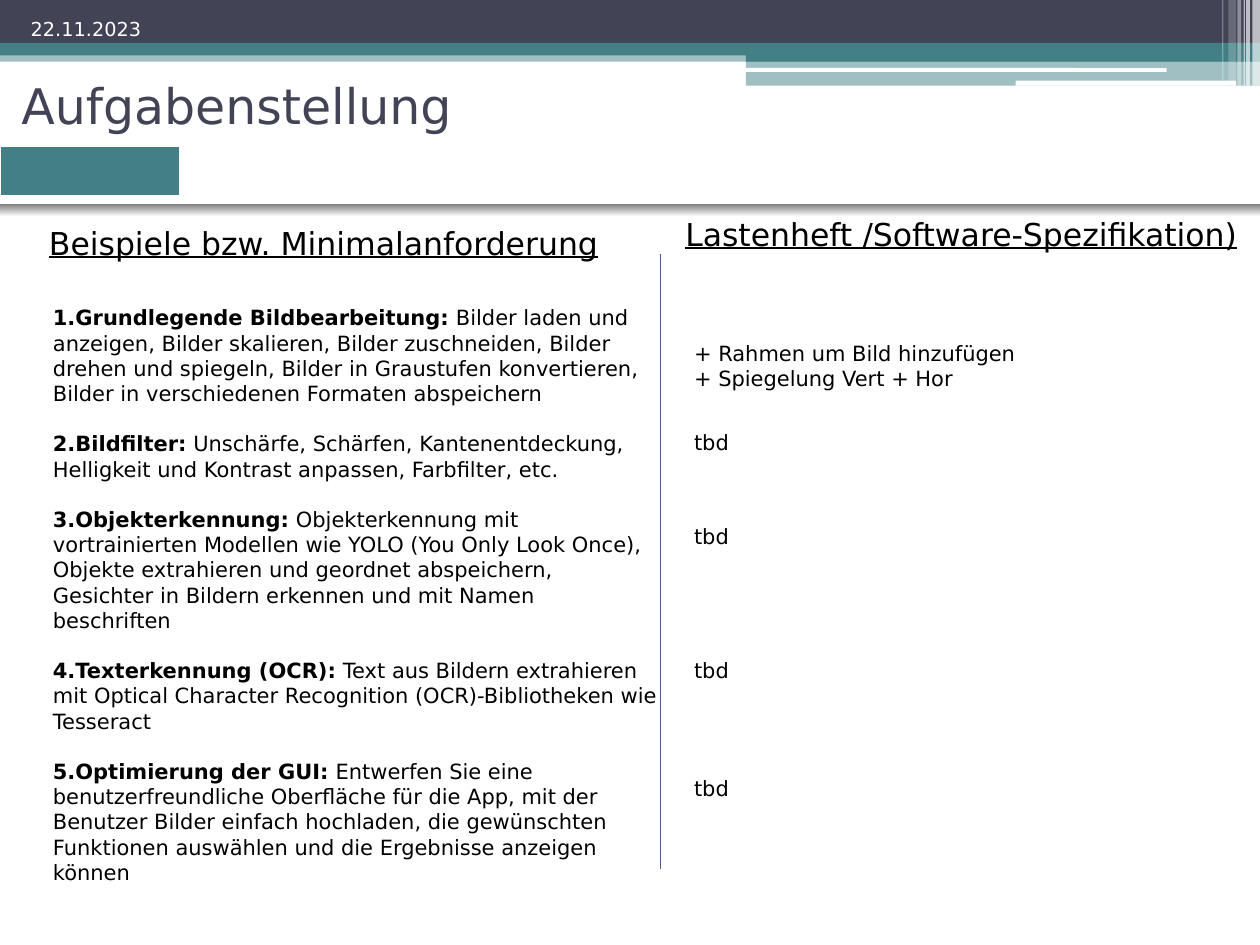
from dataclasses import dataclass

from lxml.etree import SubElement
from pptx import Presentation
from pptx.dml.color import RGBColor
from pptx.enum.shapes import MSO_CONNECTOR, MSO_SHAPE
from pptx.enum.text import MSO_ANCHOR, MSO_AUTO_SIZE, PP_ALIGN
from pptx.oxml.ns import qn
from pptx.util import Inches, Pt


@dataclass(frozen=True)
class Theme:
    """Colours and type sizes of the slide."""
    font: str = "DejaVu Sans"
    navy: str = "424456"
    teal: str = "438086"
    line: str = "53548A"
    white: str = "FFFFFF"
    black: str = "000000"
    shade: str = "808080"
    title: int = 28
    head: int = 18
    text: int = 12
    date: int = 11


THEME = Theme()

BANDS = [
    (0, 0.4, 10, 0.09, THEME.teal, 50),
    (0, 0, 10, 0.34, THEME.navy, 100),
    (0, 0.34, 10, 0.1, THEME.teal, 100),
    (5.92, 0.39, 4.08, 0.1, THEME.teal, 100),
    (5.92, 0.48, 4.08, 0.2, THEME.teal, 50),
]
PILLS = [(5.91, 0.54, 3.35, 0.03), (8.06, 0.64, 1.75, 0.04)]
STRIPES = [
    (9.94, 0.06, 0.68, 65),
    (9.89, 0.03, 0.68, 65),
    (9.87, 0.01, 0.68, 60),
    (9.82, 0.03, 0.68, 40),
    (9.75, 0.06, 0.64, 20),
    (9.7, 0.01, 0.64, 30),
]
TASKS = [
    ("Grundlegende Bildbearbeitung:",
     " Bilder laden und anzeigen, Bilder skalieren, Bilder zuschneiden, "
     "Bilder drehen und spiegeln, Bilder in Graustufen konvertieren, "
     "Bilder in verschiedenen Formaten abspeichern"),
    ("Bildfilter:",
     " Unschärfe, Schärfen, Kantenentdeckung, Helligkeit und Kontrast "
     "anpassen, Farbfilter, etc."),
    ("Objekterkennung:",
     " Objekterkennung mit vortrainierten Modellen wie YOLO (You Only Look "
     "Once), Objekte extrahieren und geordnet abspeichern, Gesichter in "
     "Bildern erkennen und mit Namen beschriften"),
    ("Texterkennung (OCR):",
     " Text aus Bildern extrahieren mit Optical Character Recognition "
     "(OCR)-Bibliotheken wie Tesseract"),
    ("Optimierung der GUI:",
     " Entwerfen Sie eine benutzerfreundliche Oberfläche für die App, mit "
     "der Benutzer Bilder einfach hochladen, die gewünschten Funktionen "
     "auswählen und die Ergebnisse anzeigen können"),
]
NOTES = [
    (2.65, 0.5, ["+ Rahmen um Bild hinzufügen", "+ Spiegelung Vert + Hor"]),
    (3.36, 0.3, ["tbd"]),
    (4.11, 0.3, ["tbd"]),
    (5.17, 0.3, ["tbd"]),
    (6.11, 0.3, ["tbd"]),
]


def write(shape, paras, size=THEME.text, color=THEME.black, align=PP_ALIGN.LEFT,
          anchor=MSO_ANCHOR.TOP, under=None, count=False, gap=0):
    """Fill a shape with paragraphs; a pair is a bold lead and its plain rest."""
    frame = shape.text_frame
    frame.word_wrap = True
    frame.auto_size = MSO_AUTO_SIZE.NONE
    frame.vertical_anchor = anchor
    for i, para in enumerate(paras):
        p = frame.paragraphs[0] if i == 0 else frame.add_paragraph()
        p.alignment = align
        p.space_before = Pt(gap if i else 0)
        if count:
            props = p._p.get_or_add_pPr()
            props.set("marL", "0")
            props.set("indent", "0")
            SubElement(props, qn("a:buAutoNum"), type="arabicPeriod")
        pair = isinstance(para, tuple)
        for j, text in enumerate(para if pair else (para,)):
            run = p.add_run()
            run.text = text
            font = run.font
            font.name, font.size = THEME.font, Pt(size)
            font.bold = pair and j == 0
            font.underline = under
            font.color.rgb = RGBColor.from_string(color)


def place(shape, *box):
    """Move a shape to a box given in inches."""
    shape.left, shape.top, shape.width, shape.height = map(Inches, box)
    return shape


def add_text(slide, box, paras, **style):
    """Add a text box."""
    write(slide.shapes.add_textbox(*map(Inches, box)), paras, **style)


def add_block(slide, box, color, alpha=100, kind=MSO_SHAPE.RECTANGLE):
    """Add a plain block with an opacity in percent."""
    block = slide.shapes.add_shape(kind, *map(Inches, box))
    block.shadow.inherit = False
    block.line.fill.background()
    block.fill.solid()
    block.fill.fore_color.rgb = RGBColor.from_string(color)
    if alpha < 100:
        tone = block.fill._xPr.find(".//" + qn("a:srgbClr"))
        SubElement(tone, qn("a:alpha"), val=str(alpha * 1000))
    return block


def add_shade(slide, box):
    """Add a soft shade that fades downward."""
    fill = add_block(slide, box, THEME.shade).fill
    fill.gradient()
    fill.gradient_angle = 270
    for stop, color in zip(fill.gradient_stops, (THEME.shade, THEME.white)):
        stop.color.rgb = RGBColor.from_string(color)


def add_edge(cell, side, width):
    """Draw one white cell border."""
    edge = SubElement(cell._tc.get_or_add_tcPr(), qn("a:" + side),
                      w=str(Pt(width)))
    SubElement(SubElement(edge, qn("a:solidFill")), qn("a:srgbClr"),
               val=THEME.white)


def add_steps(slide, box, count):
    """Add the progress table with its first cell marked."""
    table = slide.shapes.add_table(1, count, *map(Inches, box)).table
    table.first_row = table.horz_banding = False
    for i, cell in enumerate(table.iter_cells()):
        for side, width in (("lnL", 1), ("lnR", 1), ("lnT", 1), ("lnB", 3)):
            add_edge(cell, side, width)
        cell.fill.solid()
        cell.fill.fore_color.rgb = RGBColor.from_string(
            THEME.white if i else THEME.teal)


def add_line(slide, *ends):
    """Add a thin straight line."""
    line = slide.shapes.add_connector(MSO_CONNECTOR.STRAIGHT,
                                      *map(Inches, ends))
    line.line.color.rgb = RGBColor.from_string(THEME.line)
    line.line.width = Pt(0.75)
    SubElement(line._element.spPr, qn("a:effectLst"))


def main():
    """Build and save the slide."""
    deck = Presentation()
    deck.slide_width, deck.slide_height = Inches(10), Inches(7.5)
    slide = deck.slides.add_slide(deck.slide_layouts[1])
    for *box, color, alpha in BANDS:
        add_block(slide, box, color, alpha)
    for box in PILLS:
        add_block(slide, box, THEME.white, kind=MSO_SHAPE.ROUNDED_RECTANGLE)
    for left, width, height, alpha in STRIPES:
        add_block(slide, (left, 0, width, height), THEME.white, alpha)
    write(place(slide.shapes.title, 0.07, 0.52, 9, 0.63), ["Aufgabenstellung"],
          size=THEME.title, color=THEME.navy, anchor=MSO_ANCHOR.MIDDLE)
    add_shade(slide, (0, 1.62, 10, 0.1))
    add_steps(slide, (0, 1.16, 10, 0.37), 7)
    add_text(slide, (0.07, -0.03, 1.15, 0.4), ["22.11.2023"], size=THEME.date,
             color=THEME.white, align=PP_ALIGN.RIGHT, anchor=MSO_ANCHOR.BOTTOM)
    add_text(slide, (0.29, 1.73, 4.78, 0.4),
             ["Beispiele bzw. Minimalanforderung"], size=THEME.head, under=True)
    add_text(slide, (5.34, 1.66, 4.89, 0.4),
             ["Lastenheft /Software-Spezifikation)"], size=THEME.head, under=True)
    write(place(slide.placeholders[1], 0.32, 2.37, 5, 4.75), TASKS,
          count=True, gap=14.4)
    add_line(slide, 5.24, 2.02, 5.24, 6.9)
    for top, height, lines in NOTES:
        add_text(slide, (5.41, top, 3.75, height), lines)
    deck.save("out.pptx")


if __name__ == "__main__":
    main()
